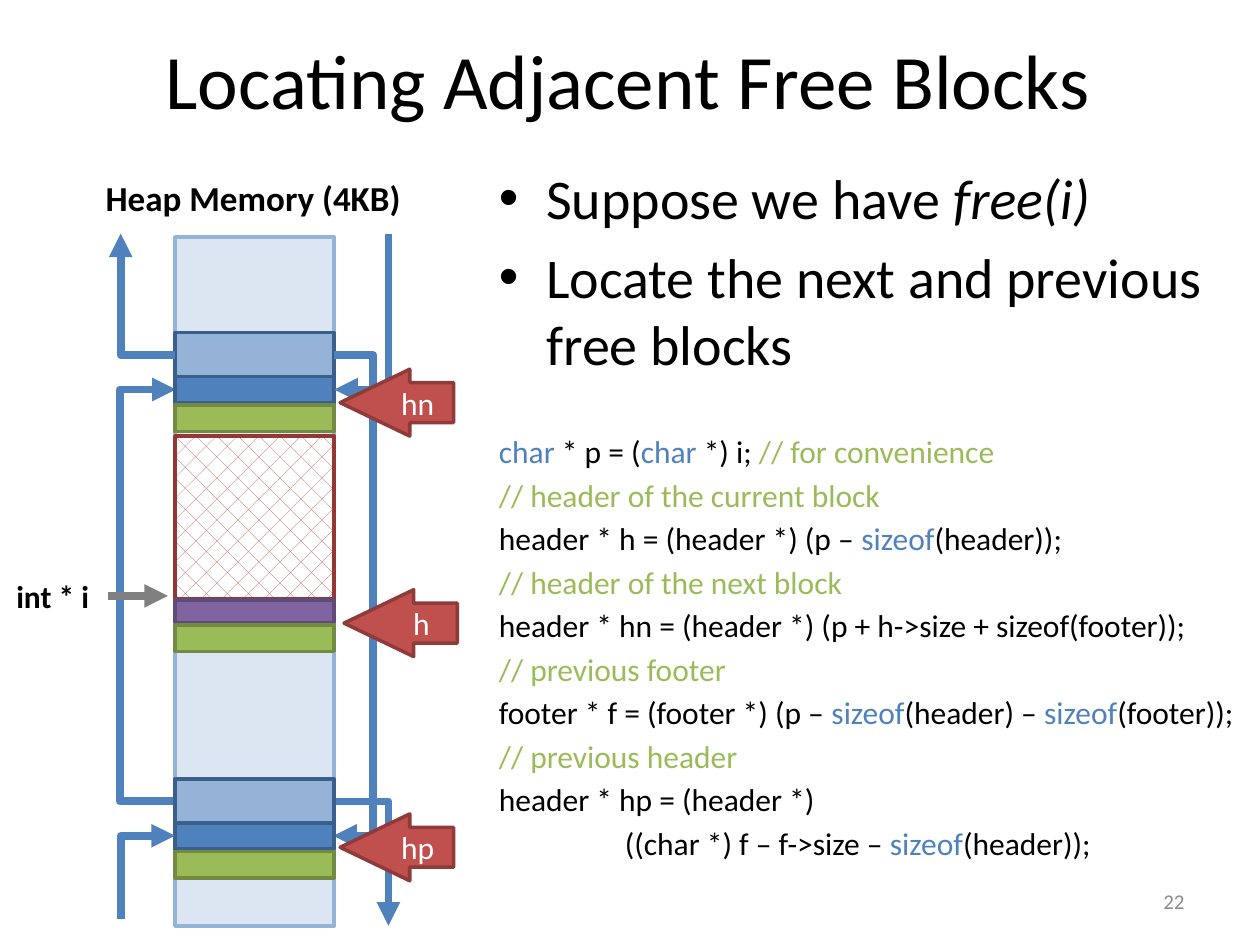
from pptx import Presentation
from pptx.dml.color import RGBColor
from pptx.enum.dml import MSO_PATTERN
from pptx.enum.shapes import MSO_CONNECTOR, MSO_SHAPE
from pptx.enum.text import MSO_ANCHOR, PP_ALIGN
from pptx.oxml.ns import qn
from pptx.util import Pt
from lxml.etree import SubElement

FONT = "Calibri"
COLORS = {
    "black": "000000", "white": "FFFFFF", "gray": "808080", "number": "8C8C8C",
    "heap": "DCE6F2", "header": "95B3D7", "blue": "4F81BD", "navy": "3A5F8C",
    "green": "9BBB59", "olive": "738A42", "red": "C0504D", "maroon": "953735",
    "arrow_edge": "8E3B39", "purple": "8064A2", "plum": "5F4A78",
}
LEFT, WIDTH = 100, 91
RIGHT = LEFT + WIDTH
BLOCK_TOPS = (190, 445)
FOOTER_H = 15.1
BULLETS = [
    [("Suppose we have ", False), ("free(i)", True)],
    [("Locate the next and previous free blocks", False)],
]
CODE = [
    [("char", "blue"), (" * p = (", "black"), ("char", "blue"), (" *) i; ", "black"),
     ("// for convenience", "green")],
    [("// header of the current block", "green")],
    [("header * h = (header *) (p – ", "black"), ("sizeof", "blue"), ("(header));", "black")],
    [("// header of the next block", "green")],
    [("header * hn = (header *) (p + h->size + sizeof(footer));", "black")],
    [("// previous footer", "green")],
    [("footer * f = (footer *) (p – ", "black"), ("sizeof", "blue"), ("(header) – ", "black"),
     ("sizeof", "blue"), ("(footer));", "black")],
    [("// previous header", "green")],
    [("header * hp = (header *)", "black")],
    [("\t((char *) f – f->size – ", "black"), ("sizeof", "blue"), ("(header));", "black")],
]


def rgb(name):
    return RGBColor.from_string(COLORS[name])


def add_run(p, text, size, color="black", bold=False, italic=False):
    r = p.add_run()
    r.text = text
    r.font.name = FONT
    r.font.size = Pt(size)
    r.font.bold = bold
    r.font.italic = italic
    r.font.color.rgb = rgb(color)


def add_frame(s, x, y, w, h, anchor=MSO_ANCHOR.TOP, wrap=True):
    tf = s.shapes.add_textbox(Pt(x), Pt(y), Pt(w), Pt(h)).text_frame
    tf.word_wrap = wrap
    tf.vertical_anchor = anchor
    return tf


def add_label(s, box, text, size, color="black", bold=False, align=PP_ALIGN.LEFT,
              anchor=MSO_ANCHOR.TOP, wrap=True):
    p = add_frame(s, *box, anchor=anchor, wrap=wrap).paragraphs[0]
    p.alignment = align
    add_run(p, text, size, color, bold)


def add_box(s, y, h, fill, edge, x=LEFT, w=WIDTH, kind=MSO_SHAPE.RECTANGLE):
    sp = s.shapes.add_shape(kind, Pt(x), Pt(y), Pt(w), Pt(h))
    sp.shadow.inherit = False
    sp.fill.solid()
    sp.fill.fore_color.rgb = rgb(fill)
    sp.line.color.rgb = rgb(edge)
    sp.line.width = Pt(2)
    return sp


def add_footer(s, y):
    add_box(s, y, FOOTER_H, "green", "olive")


def add_free_block(s, y):
    add_box(s, y, 25.2, "header", "navy")
    add_box(s, y + 25.2, FOOTER_H, "blue", "navy")
    add_footer(s, y + 41.5)


def add_used_block(s, y):
    sp = add_box(s, y, 92.9, "white", "maroon")
    sp.fill.patterned()
    sp.fill.pattern = MSO_PATTERN.DOTTED_DIAMOND
    sp.fill.fore_color.rgb = rgb("red")
    sp.fill.back_color.rgb = rgb("white")
    add_box(s, y + 93.6, 13, "purple", "plum")
    add_footer(s, y + 108)


def add_pointer(s, x, y, text):
    sp = add_box(s, y, 38.2, "red", "arrow_edge", x, 64.8, MSO_SHAPE.LEFT_ARROW)
    sp.adjustments[0] = 0.596
    sp.adjustments[1] = 1.041
    tf = sp.text_frame
    tf.vertical_anchor = MSO_ANCHOR.MIDDLE
    p = tf.paragraphs[0]
    p.alignment = PP_ALIGN.CENTER
    add_run(p, text, 18, "white")


def add_arrow(s, x1, y1, x2, y2, color="blue", kind=MSO_CONNECTOR.ELBOW):
    c = s.shapes.add_connector(kind, Pt(x1), Pt(y1), Pt(x2), Pt(y2))
    c.line.color.rgb = rgb(color)
    c.line.width = Pt(4.5)
    SubElement(c.line._get_or_add_ln(), qn("a:tailEnd"), type="triangle")
    SubElement(c._element.spPr, qn("a:effectLst"))
    return c


def add_corner(s, x1, y1, x2, y2, vertical_first=False):
    if vertical_first:
        cx, cy = (x1 + x2) / 2, (y1 + y2) / 2
        dx, dy = (x2 - x1) / 2, (y2 - y1) / 2
        x1, y1, x2, y2 = cx - dy, cy + dx, cx + dy, cy - dx
    spPr = add_arrow(s, x1, y1, x2, y2)._element.spPr
    spPr.find(qn("a:prstGeom")).set("prst", "bentConnector2")
    if vertical_first:
        spPr.find(qn("a:xfrm")).set("rot", str(90 * 60000))


def add_detour(s, x, y1, y2, reach):
    step = 0.5 if reach < 0 else -0.5
    spPr = add_arrow(s, x, y1, x + step, y2)._element.spPr
    ratio = round(reach / step * 100000)
    SubElement(spPr.find(qn("a:prstGeom")).find(qn("a:avLst")), qn("a:gd"),
               name="adj1", fmla=f"val {ratio}")


def add_body(s):
    tf = add_frame(s, 278, 90, 443, 439)
    for i, runs in enumerate(BULLETS):
        p = tf.paragraphs[0] if i == 0 else tf.add_paragraph()
        p.space_before = Pt(6.4 if i else 0)
        pPr = p._p.get_or_add_pPr()
        pPr.set("marL", str(Pt(27)))
        pPr.set("indent", str(Pt(-27)))
        SubElement(pPr, qn("a:buFont"), typeface="Arial")
        SubElement(pPr, qn("a:buChar"), char="•")
        for text, italic in runs:
            add_run(p, text, 32, italic=italic)
    for i, runs in enumerate(CODE):
        p = tf.add_paragraph()
        p.space_before = Pt(3.25 if i else 31.7)
        tabs = SubElement(p._p.get_or_add_pPr(), qn("a:tabLst"))
        SubElement(tabs, qn("a:tab"), pos=str(Pt(72)), algn="l")
        for text, color in runs:
            add_run(p, text, 18, color)


def add_heap(s):
    upper, lower = BLOCK_TOPS
    upper_mid, lower_mid = upper + 13, lower + 13
    upper_in, lower_in = upper + 32.6, lower + 32.6
    add_box(s, 135.4, 393.8, "heap", "header")
    add_label(s, (53.3, 97.2, 185, 31.7), "Heap Memory (4KB)", 20, bold=True, wrap=False)
    add_corner(s, RIGHT, lower_mid, 222, 529)
    add_detour(s, LEFT, lower_mid, upper_in, -31)
    add_used_block(s, 249.1)
    add_free_block(s, upper)
    add_detour(s, RIGHT, upper_mid, lower_in, 22)
    add_corner(s, LEFT, upper_mid, 69, 133.5)
    add_label(s, (2.2, 326.2, 59, 28.8), "int * i", 18, bold=True)
    add_arrow(s, 61.5, 340.5, 96, 340.5, "gray", MSO_CONNECTOR.STRAIGHT)
    add_free_block(s, lower)
    add_corner(s, 69, 525, LEFT, lower_in, vertical_first=True)
    add_corner(s, 222, 133.5, RIGHT, upper_in, vertical_first=True)
    for x, y, text in ((196.6, 337, "h"), (194.4, 211, "hn"), (194.4, 465.1, "hp")):
        add_pointer(s, x, y, text)


def main():
    prs = Presentation()
    prs.slide_width, prs.slide_height = Pt(720), Pt(540)
    s = prs.slides.add_slide(prs.slide_layouts[6])
    add_label(s, (3.6, 0, 710.6, 90), "Locating Adjacent Free Blocks", 44,
              align=PP_ALIGN.CENTER, anchor=MSO_ANCHOR.MIDDLE)
    add_label(s, (516, 500.5, 168, 28.8), "22", 12, "number",
              align=PP_ALIGN.RIGHT, anchor=MSO_ANCHOR.MIDDLE)
    add_heap(s)
    add_body(s)
    prs.save("out.pptx")


if __name__ == "__main__":
    main()
